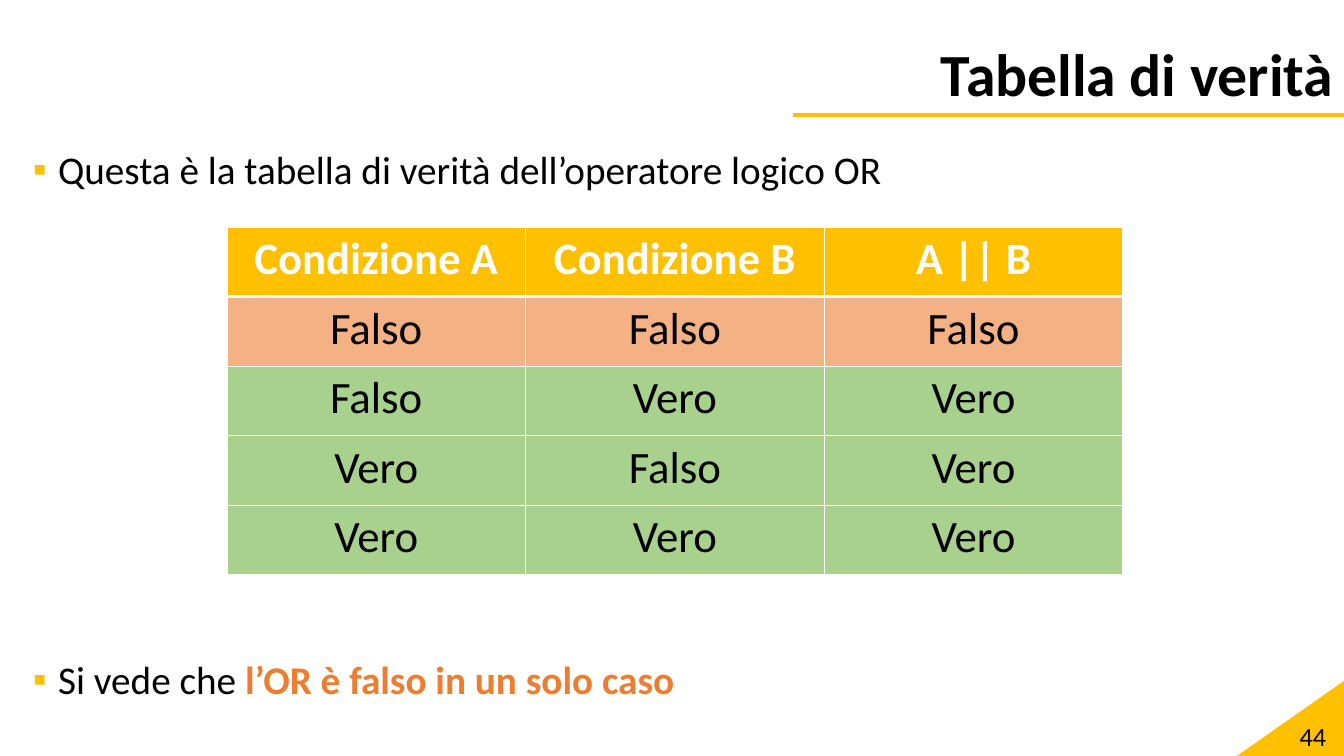
from dataclasses import dataclass
from lxml.etree import SubElement
from pptx import Presentation
from pptx.dml.color import RGBColor as Rgb
from pptx.enum.shapes import MSO_CONNECTOR as Conn, MSO_SHAPE as Shp
from pptx.enum.text import MSO_ANCHOR as Anchor, PP_ALIGN as Align
from pptx.oxml import parse_xml
from pptx.oxml.ns import qn
from pptx.util import Emu, Pt

PX = 914400 / 100.8
NS = 'xmlns:a="http://schemas.openxmlformats.org/drawingml/2006/main"'


@dataclass(frozen=True)
class Theme:
    face: str = "Calibri"
    gold: str = "FFC000"
    black: str = "000000"
    white: str = "FFFFFF"
    accent: str = "ED7D31"
    no: str = "F4B183"
    yes: str = "A9D18E"
    title: float = 42.7
    body: float = 28
    cell: float = 32
    page: float = 18.7


@dataclass(frozen=True)
class Box:
    x: int
    y: int
    w: int
    h: int

    def emu(self) -> list[Emu]:
        return [px(n) for n in (self.x, self.y, self.w, self.h)]


@dataclass(frozen=True)
class Row:
    cells: tuple[str, ...]
    fill: str
    ink: str
    bold: bool = False


@dataclass(frozen=True)
class Point:
    plain: str
    strong: str
    gap: float


T = Theme()
ROWS = (
    Row(("Condizione A", "Condizione B", "A || B"), T.gold, T.white, True),
    Row(("Falso", "Falso", "Falso"), T.no, T.black),
    Row(("Falso", "Vero", "Vero"), T.yes, T.black),
    Row(("Vero", "Falso", "Vero"), T.yes, T.black),
    Row(("Vero", "Vero", "Vero"), T.yes, T.black),
)
POINTS = (
    Point("Questa è la tabella di verità dell’operatore logico OR", "", 10),
    Point("Si vede che ", "l’OR è falso in un solo caso", 322),
)


def px(n: float) -> Emu:
    return Emu(round(n * PX))


def style(para, size: float, ink: str, align: Align, bold: bool = False) -> None:
    para.alignment = align
    font = para.font
    font.name, font.size, font.bold = T.face, Pt(size), bold
    font.color.rgb = Rgb.from_string(ink)


def bullet(para) -> None:
    prop = para._p.get_or_add_pPr()
    prop.set("marL", "228600")
    prop.set("indent", "-228600")
    tint = SubElement(prop, qn("a:buClr"))
    SubElement(tint, qn("a:srgbClr"), val=T.gold)
    SubElement(prop, qn("a:buFont"), typeface="Arial")
    SubElement(prop, qn("a:buChar"), char="▪")


def border(cell, top: float, base: float) -> None:
    prop = cell._tc.get_or_add_tcPr()
    sides = {"lnL": 1, "lnR": 1, "lnT": top, "lnB": base}
    for i, (tag, width) in enumerate(sides.items()):
        prop.insert(i, parse_xml(
            f'<a:{tag} {NS} w="{Pt(width)}"><a:solidFill>'
            f'<a:srgbClr val="{T.white}"/></a:solidFill></a:{tag}>'))


def add_text(slide, box: Box, anchor: Anchor):
    frame = slide.shapes.add_textbox(*box.emu()).text_frame
    frame.word_wrap = True
    frame.vertical_anchor = anchor
    return frame


def add_decor(slide) -> None:
    box = Box(1237, 681, 107, 75)
    corner = slide.shapes.add_shape(Shp.RIGHT_TRIANGLE, *box.emu())
    corner.shadow.inherit = False
    corner.fill.solid()
    corner.fill.fore_color.rgb = Rgb.from_string(T.gold)
    corner.line.fill.background()
    corner._element.spPr.get_or_add_xfrm().set("flipH", "1")
    ends = [px(n) for n in (793, 115, 1344, 115)]
    rule = slide.shapes.add_connector(Conn.STRAIGHT, *ends)
    rule.line.color.rgb = Rgb.from_string(T.gold)
    rule.line.width = Pt(2.25)
    SubElement(rule._element.spPr, qn("a:effectLst"))


def add_title(slide, text: str, box: Box) -> None:
    title = slide.shapes.title
    title.left, title.top, title.width, title.height = box.emu()
    frame = title.text_frame
    frame.text = text
    frame.vertical_anchor = Anchor.MIDDLE
    para = frame.paragraphs[0]
    para.line_spacing = 0.9
    style(para, T.title, T.black, Align.RIGHT, True)


def add_points(slide, points: tuple[Point, ...], box: Box) -> None:
    frame = add_text(slide, box, Anchor.TOP)
    for i, point in enumerate(points):
        para = frame.add_paragraph() if i else frame.paragraphs[0]
        para.line_spacing = 1.25
        para.space_before = Pt(point.gap)
        bullet(para)
        style(para, T.body, T.black, Align.JUSTIFY)
        para.add_run().text = point.plain
        if point.strong:
            run = para.add_run()
            run.text = point.strong
            run.font.bold = True
            run.font.color.rgb = Rgb.from_string(T.accent)


def add_truth(slide, rows: tuple[Row, ...], box: Box) -> None:
    size = len(rows), len(rows[0].cells)
    table = slide.shapes.add_table(*size, *box.emu()).table
    table.horz_banding = False
    for r, row in enumerate(rows):
        for c, text in enumerate(row.cells):
            cell = table.cell(r, c)
            cell.text = text
            cell.fill.solid()
            cell.fill.fore_color.rgb = Rgb.from_string(row.fill)
            border(cell, 3 if r == 1 else 1, 3 if r == 0 else 1)
            para = cell.text_frame.paragraphs[0]
            style(para, T.cell, row.ink, Align.CENTER, row.bold)


def add_page(slide, text: str, box: Box) -> None:
    para = add_text(slide, box, Anchor.MIDDLE).paragraphs[0]
    para.text = text
    style(para, T.page, T.black, Align.RIGHT)


# Slide
deck = Presentation()
deck.slide_width, deck.slide_height = px(1344), px(756)
slide = deck.slides.add_slide(deck.slide_layouts[5])

# Gold corner and title rule
add_decor(slide)

# Title, bullet points and page number
add_title(slide, "Tabella di verità", Box(0, 40, 1344, 75))
add_points(slide, POINTS, Box(23, 129, 1302, 627))
add_page(slide, "44", Box(1034, 716, 302, 40))

# Truth table
add_truth(slide, ROWS, Box(227, 227, 896, 348))

deck.save("out.pptx")
